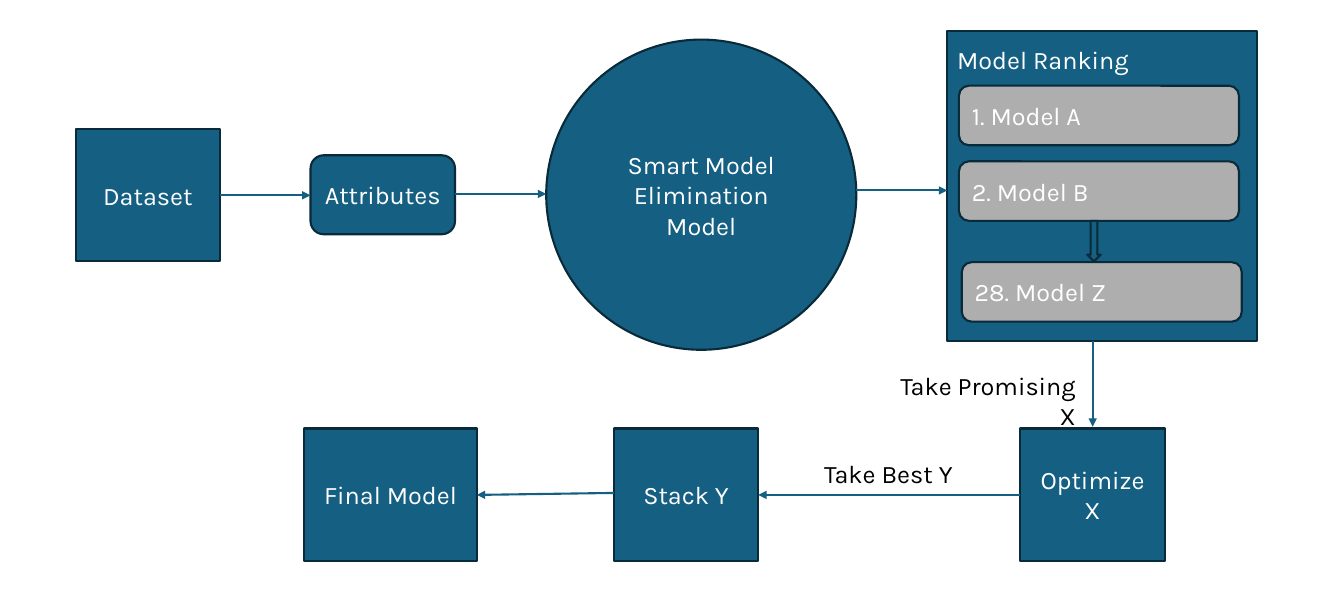
from lxml import etree
from pptx import Presentation
from pptx.dml.color import RGBColor
from pptx.enum.shapes import MSO_CONNECTOR, MSO_SHAPE
from pptx.enum.text import MSO_ANCHOR, PP_ALIGN
from pptx.oxml.ns import qn
from pptx.util import Pt

RECT, ROUNDED = MSO_SHAPE.RECTANGLE, MSO_SHAPE.ROUNDED_RECTANGLE
OVAL, DOWN_ARROW = MSO_SHAPE.OVAL, MSO_SHAPE.DOWN_ARROW
LEFT, CENTER, RIGHT = PP_ALIGN.LEFT, PP_ALIGN.CENTER, PP_ALIGN.RIGHT
STRAIGHT = MSO_CONNECTOR.STRAIGHT
COLORS = {"blue": "156082", "outline": "092A39", "gray": "AEAEAE",
          "white": "FFFFFF", "black": "000000"}
FONT = {"name": "Karla", "size": Pt(18)}
LINE_WIDTH = Pt(1.5)


def write(frame, text, color, align):
    frame.word_wrap = True
    paragraph = frame.paragraphs[0]
    paragraph.alignment = align
    run = paragraph.add_run()
    run.text = text
    for attribute, value in FONT.items():
        setattr(run.font, attribute, value)
    run.font.color.rgb = RGBColor.from_string(COLORS[color])


def add_node(kind, box, text="", fill="blue", align=CENTER):
    node = slide.shapes.add_shape(kind, *map(Pt, box))
    node.shadow.inherit = False
    node.fill.solid()
    node.fill.fore_color.rgb = RGBColor.from_string(COLORS[fill])
    node.line.color.rgb = RGBColor.from_string(COLORS["outline"])
    node.line.width = LINE_WIDTH
    if text:
        node.text_frame.vertical_anchor = MSO_ANCHOR.MIDDLE
        write(node.text_frame, text, "white", align)


prs = Presentation()
prs.slide_width, prs.slide_height = Pt(960), Pt(432)
slide = prs.slides.add_slide(prs.slide_layouts[6])

# Process steps
step_w, step_h, bottom_row = 103.2, 94.5, 306
big = 221.5
for kind, box, text in [
    (RECT, (54, 92.2, step_w, step_h), "Dataset"),
    (ROUNDED, (221.8, 110.9, step_w, 56.4), "Attributes"),
    (OVAL, (390.2, 28.3, big, big), "Smart Model Elimination Model"),
    (RECT, (676.6, 22.3, big, big), ""),
    (RECT, (728.8, bottom_row, step_w, step_h), "Optimize X"),
    (RECT, (438.5, bottom_row, step_w, step_h), "Stack Y"),
    (RECT, (217.2, bottom_row, 123.4, step_h), "Final Model"),
]:
    add_node(kind, box, text)

# Ranked models inside the ranking panel
for left, top, text in [(685, 61.2, "1. Model A"), (685, 115.2, "2. Model B"),
                        (687, 187.2, "28. Model Z")]:
    add_node(ROUNDED, (left, top, 200, 42.5), text, "gray", LEFT)
add_node(DOWN_ARROW, (776.6, 157.7, 9.7, 29))

# Panel heading and arrow captions
for box, text, color, align in [
    ((676.6, 28.3, 200, 29), "Model Ranking", "white", LEFT),
    ((625, 260.9, 150.5, 29), "Take Promising X", "black", RIGHT),
    ((559.4, 323.5, 150.5, 29), "Take Best Y", "black", CENTER),
]:
    caption = slide.shapes.add_textbox(*map(Pt, box))
    write(caption.text_frame, text, color, align)

# Flow arrows
for ends in [
    (157.2, 139.5, 221.8, 139.5),
    (325, 138.5, 390.2, 138.5),
    (611.7, 136, 676.6, 136),
    (780.5, 243.8, 780.5, 304.8),
    (728.8, 353.4, 541.7, 353.4),
    (438.5, 352, 340.6, 353.4),
]:
    arrow = slide.shapes.add_connector(STRAIGHT, *map(Pt, ends))
    arrow.line.color.rgb = RGBColor.from_string(COLORS["blue"])
    arrow.line.width = LINE_WIDTH
    etree.SubElement(arrow.line._get_or_add_ln(), qn("a:tailEnd"), type="triangle")
    etree.SubElement(arrow._element.spPr, qn("a:effectLst"))

prs.save("out.pptx")
